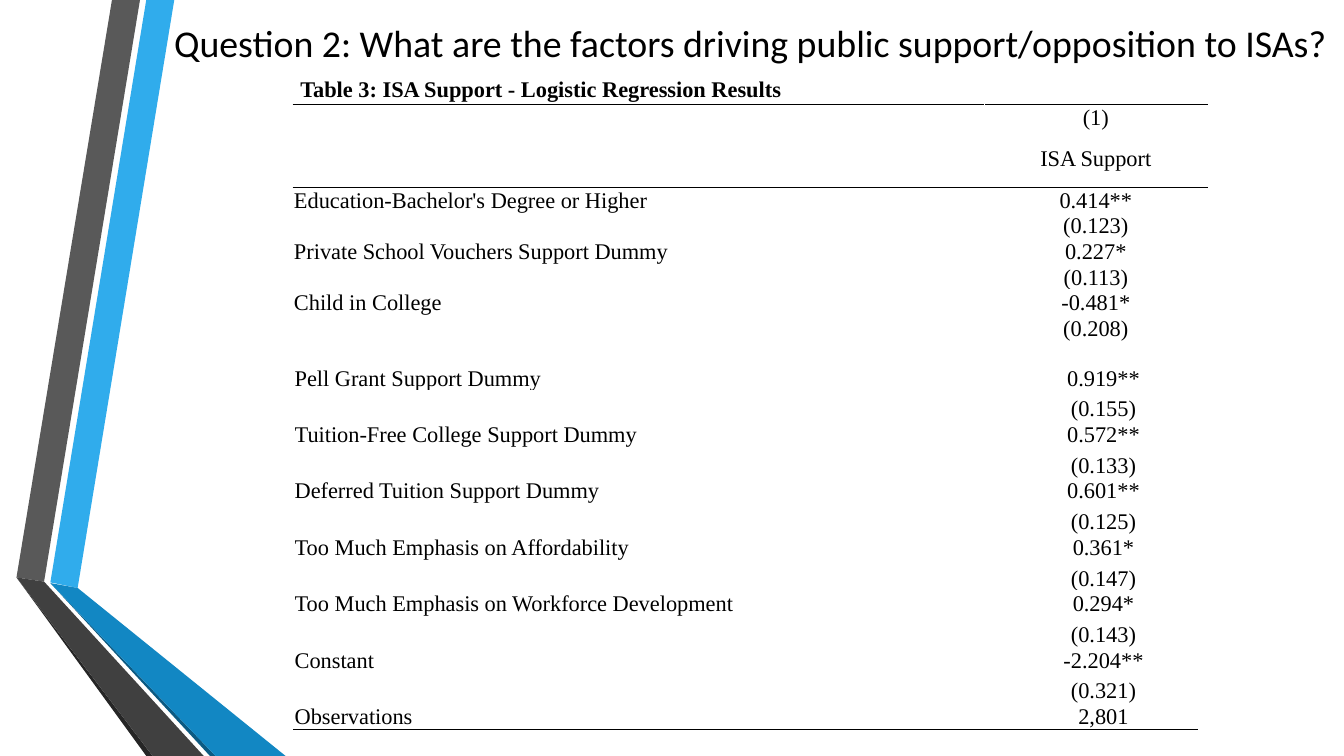
import pptx
import pptx.dml.color
import pptx.enum.text
import pptx.oxml
import pptx.oxml.ns
import pptx.util

Pt = pptx.util.Pt
RGBColor = pptx.dml.color.RGBColor
PP_ALIGN = pptx.enum.text.PP_ALIGN
ANCHOR = pptx.enum.text.MSO_ANCHOR

BLACK = RGBColor(0x00, 0x00, 0x00)
BLUE = RGBColor(0x30, 0xAC, 0xEC)
MID_BLUE = RGBColor(0x12, 0x87, 0xC3)
DARK_BLUE = RGBColor(0x0C, 0x5A, 0x82)
GREY = RGBColor(0x59, 0x59, 0x59)
DARK_GREY = RGBColor(0x40, 0x40, 0x40)
NEAR_BLACK = RGBColor(0x26, 0x26, 0x26)

LINE = 18.3  # height of a one-line row


def add_rule(cell, side):
    """Draw a thin black line on the top (T) or bottom (B) of a cell."""
    ln = pptx.oxml.parse_xml(
        f'<a:ln{side} {pptx.oxml.ns.nsdecls("a")} w="12700"><a:solidFill>'
        f'<a:srgbClr val="{BLACK}"/></a:solidFill></a:ln{side}>')
    cell._tc.get_or_add_tcPr().insert(0, ln)


def add_results(s, left, top, widths, heights, rows, rules):
    """Add a plain two-column table; rules maps a row to its ruled sides."""
    frame = s.shapes.add_table(len(rows), 2, Pt(left), Pt(top),
                               Pt(sum(widths)), Pt(sum(heights)))
    table = frame.table
    table.first_row = table.horz_banding = False
    for column, width in zip(table.columns, widths):
        column.width = Pt(width)
    for i, (height, texts) in enumerate(zip(heights, rows)):
        table.rows[i].height = Pt(height)
        for j, text in enumerate(texts):
            cell = table.cell(i, j)
            cell.fill.background()
            cell.margin_left = cell.margin_right = Pt(0.5)
            cell.margin_top = cell.margin_bottom = 0
            cell.vertical_anchor = ANCHOR.BOTTOM
            p = cell.text_frame.paragraphs[0]
            if text:
                p.text = text
            p.alignment = PP_ALIGN.CENTER if j else PP_ALIGN.LEFT
            p.font.name = "Times New Roman"
            p.font.size = Pt(16)
            p.font.color.rgb = BLACK
            for side in rules.get(i, ""):
                add_rule(cell, side)
    return table


prs = pptx.Presentation()
prs.slide_width, prs.slide_height = Pt(960), Pt(540)
s = prs.slides.add_slide(prs.slide_layouts[6])

# Folded ribbons down the left edge
ribbons = [
    (BLUE, [(36, 416), (55.5, 420), (124.5, 0), (104.5, 0)]),
    (GREY, [(100, 0), (80, 0), (11.8, 412.5), (31.5, 415.5)]),
    (NEAR_BLACK, [(11.8, 412.5), (104.5, 540), (109, 540)]),
    (DARK_BLUE, [(36, 416.5), (150, 540), (154, 540)]),
    (MID_BLUE, [(36, 416.5), (154, 540), (204, 540), (55.5, 420)]),
    (DARK_GREY, [(11.8, 412.5), (109, 540), (145.5, 540), (31.5, 415.5)]),
]
for color, points in ribbons:
    corners = [(Pt(x), Pt(y)) for x, y in points]
    builder = s.shapes.build_freeform(*corners[0])
    builder.add_line_segments(corners[1:], close=True)
    sp = builder.convert_to_shape()
    sp.shadow.inherit = False
    sp.fill.solid()
    sp.fill.fore_color.rgb = color
    sp.line.fill.background()

# Upper table: caption, heading and the first coefficients
upper_rows = [
    ("Table 3: ISA Support - Logistic Regression Results", ""),
    ("", "(1)"),
    ("", "ISA Support"),
    ("Education-Bachelor's Degree or Higher", "0.414**"),
    ("", "(0.123)"),
    ("Private School Vouchers Support Dummy", "0.227*"),
    ("", "(0.113)"),
    ("Child in College", "-0.481*"),
    ("", "(0.208)"),
]
table = add_results(s, 209.5, 52, (493.5, 159.5), [22.8, LINE, 41] + [LINE] * 6,
                    upper_rows, {0: "B", 1: "T", 2: "B", 3: "T"})
caption = table.cell(0, 0)
caption.merge(table.cell(0, 1))
caption.margin_left = Pt(5)
caption.margin_bottom = Pt(2)
caption.text_frame.paragraphs[0].font.bold = True
table.cell(2, 1).vertical_anchor = ANCHOR.MIDDLE

# Lower table: remaining coefficients, each above its standard error
lower_rows = [
    ("Pell Grant Support Dummy", "0.919**"),
    ("", "(0.155)"),
    ("Tuition-Free College Support Dummy", "0.572**"),
    ("", "(0.133)"),
    ("Deferred Tuition Support Dummy", "0.601**"),
    ("", "(0.125)"),
    ("Too Much Emphasis on Affordability", "0.361*"),
    ("", "(0.147)"),
    ("Too Much Emphasis on Workforce Development", "0.294*"),
    ("", "(0.143)"),
    ("Constant", "-2.204**"),
    ("", "(0.321)"),
    ("Observations", "2,801"),
]
add_results(s, 210, 261, (511, 134.5), [LINE, 22] * 6 + [LINE],
            lower_rows, {12: "B"})

# Title
tf = s.shapes.add_textbox(Pt(117.3), Pt(10.8), Pt(843), Pt(40)).text_frame
tf.word_wrap = True
p = tf.paragraphs[0]
p.text = ("Question 2: What are the factors driving public "
          "support/opposition to ISAs?")
p.font.name = "Calibri"
p.font.size = Pt(27)
p.font.color.rgb = BLACK

prs.save("out.pptx")
